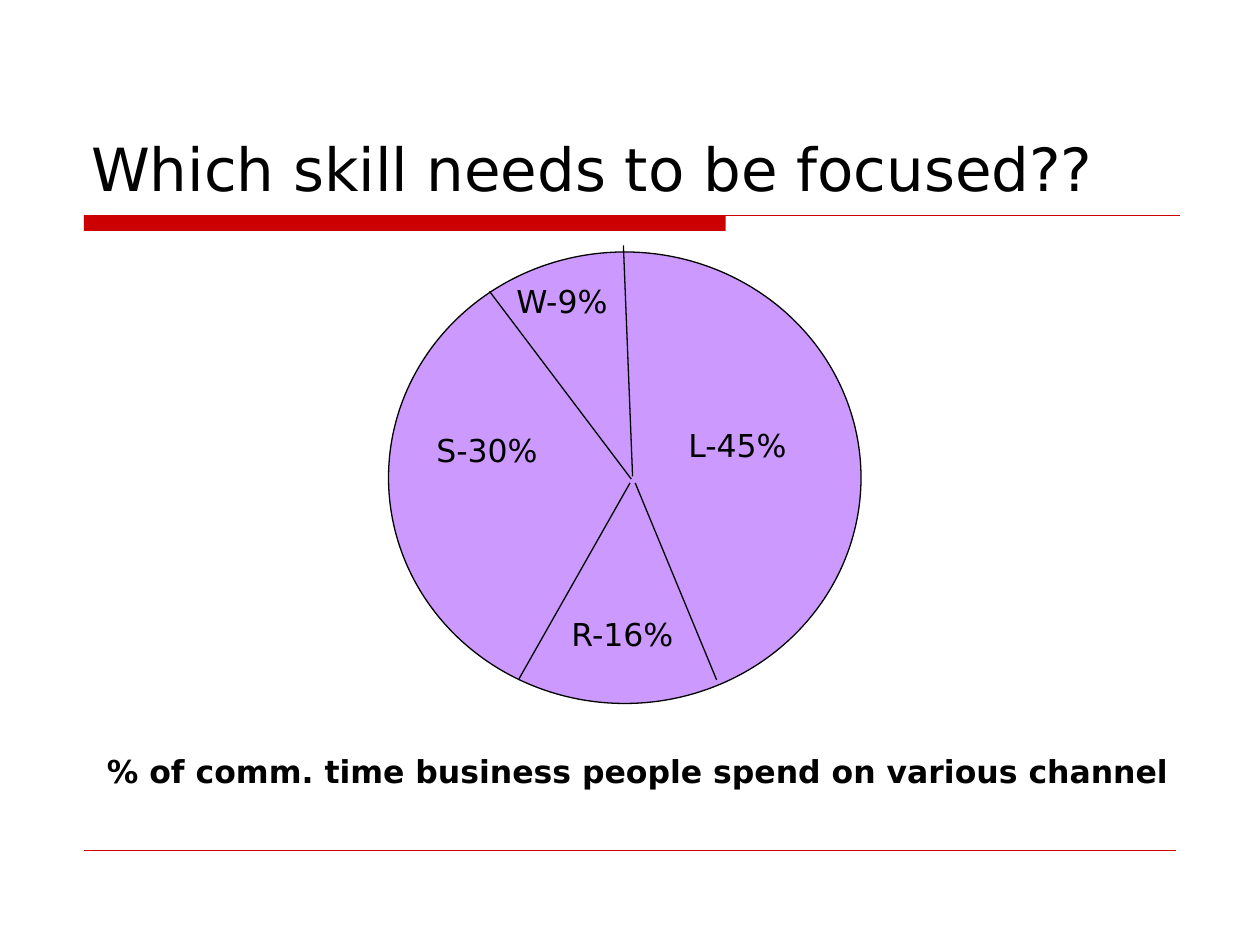
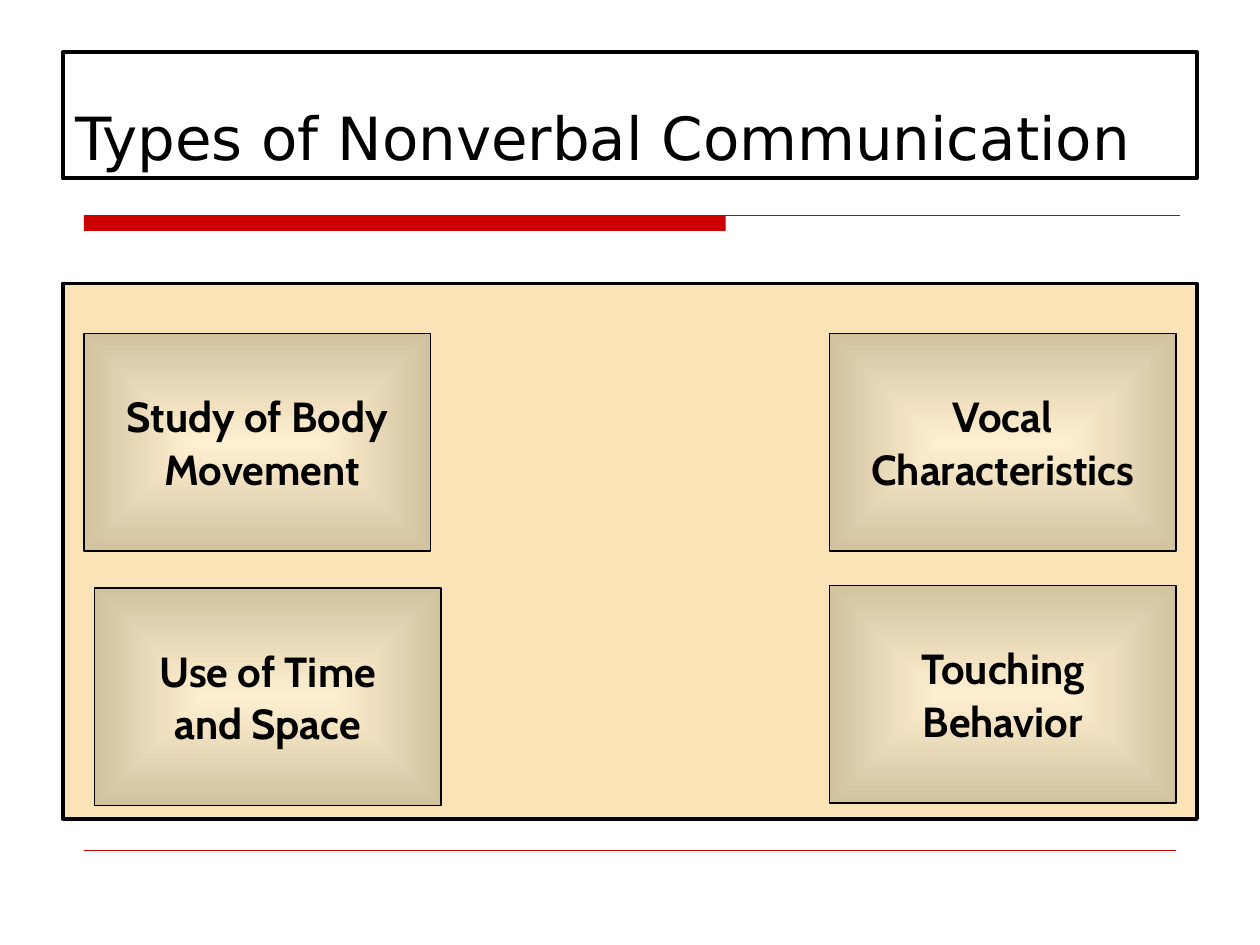
from dataclasses import dataclass

from lxml import etree
from pptx import Presentation
from pptx import util as u
from pptx.dml.color import RGBColor
from pptx.enum import shapes, text
from pptx.oxml import ns

EMU_PER_PX = 9525


@dataclass(frozen=True)
class Theme:
    ink: str = "000000"
    accent: str = "CC0000"
    pie: str = "CC99FF"
    panel: str = "FAE3B7"
    card_center: str = "FFEFD1"
    card_edge: str = "D1C39F"
    body_font: str = "DejaVu Sans"
    card_font: str = "Cabin"
    title_size: int = 34
    card_size: int = 24
    label_size: int = 18
    hairline: float = 0.25
    thin: float = 0.75
    thick: float = 2.25


THEME = Theme()


def px(*lengths):
    return [u.Emu(length * EMU_PER_PX) for length in lengths]


def color(value):
    return RGBColor.from_string(value)


def add_line(page, start, end, stroke=THEME.ink, width=THEME.thin):
    line = page.shapes.add_connector(shapes.MSO_CONNECTOR.STRAIGHT, *px(*start, *end))
    line.line.color.rgb = color(stroke)
    line.line.width = u.Pt(width)
    etree.SubElement(line._element.spPr, ns.qn("a:effectLst"))


def add_block(page, bounds, fill=None, width=THEME.thin, kind=shapes.MSO_SHAPE.RECTANGLE):
    block = page.shapes.add_shape(kind, *px(*bounds))
    block.shadow.inherit = False
    if fill:
        block.fill.solid()
        block.fill.fore_color.rgb = color(fill)
    else:
        block.fill.background()
    if width:
        block.line.color.rgb = color(THEME.ink)
        block.line.width = u.Pt(width)
    else:
        block.line.fill.background()
    return block


def write(box, lines, size, font=THEME.body_font, bold=False, align=text.PP_ALIGN.LEFT,
          anchor=text.MSO_ANCHOR.TOP, wrap=True):
    frame = box.text_frame
    frame.word_wrap = wrap
    frame.vertical_anchor = anchor
    for index, line in enumerate(lines):
        para = frame.add_paragraph() if index else frame.paragraphs[0]
        para.text = line
        para.alignment = align
        para.space_before = u.Pt(0.5 if index else 0)
        para.space_after = u.Pt(0.5)
        para.font.name = font
        para.font.size = u.Pt(size)
        para.font.bold = bold
        para.font.color.rgb = color(THEME.ink)


def add_label(page, bounds, words, bold=False):
    write(page.shapes.add_textbox(*px(*bounds)), [words], THEME.label_size, bold=bold)


def add_card(page, corner, lines):
    card = add_block(page, (*corner, 264, 166))
    card.fill.gradient()
    for stop, shade in zip(card.fill.gradient_stops, (THEME.card_center, THEME.card_edge)):
        stop.color.rgb = color(shade)
    gradient = card._element.spPr.find(ns.qn("a:gradFill"))
    gradient.remove(gradient.find(ns.qn("a:lin")))
    focus = etree.SubElement(gradient, ns.qn("a:path"), {"path": "rect"})
    etree.SubElement(focus, ns.qn("a:fillToRect"), dict.fromkeys("ltrb", "50000"))
    write(card, lines, THEME.card_size, THEME.card_font, True,
          text.PP_ALIGN.CENTER, text.MSO_ANCHOR.MIDDLE, False)


def add_page(deck, title, title_bounds, title_border=None):
    page = deck.slides.add_slide(deck.slide_layouts[6])
    add_block(page, (64, 164, 489, 12), THEME.accent, None)
    add_line(page, (64, 164), (899, 164), THEME.accent)
    add_line(page, (64, 648), (896, 648), THEME.accent, THEME.hairline)
    box = add_block(page, title_bounds, width=title_border)
    write(box, [title], THEME.title_size, anchor=text.MSO_ANCHOR.BOTTOM)
    return page


def add_skills_page(deck):
    page = add_page(deck, "Which skill needs to be focused??", (60, 32, 840, 128))
    add_block(page, (296, 192, 360, 344), THEME.pie, kind=shapes.MSO_SHAPE.OVAL)
    dividers = [
        ((482, 363), (475, 187)),
        ((395, 518), (480, 368)),
        ((546, 518), (484, 368)),
        ((481, 365), (373, 222)),
    ]
    for start, end in dividers:
        add_line(page, start, end)
    shares = [
        ("L-45%", 515, 320),
        ("R-16%", 426, 464),
        ("S-30%", 323, 324),
        ("W-9%", 384, 210),
    ]
    for words, left, top in shares:
        add_label(page, (left, top, 104, 38), words)
    add_label(page, (72, 568, 864, 38),
              "% of comm. time business people spend on various channel", bold=True)


def add_nonverbal_page(deck):
    page = add_page(deck, "Types of Nonverbal Communication", (48, 40, 864, 96), THEME.thick)
    add_block(page, (48, 216, 864, 408), THEME.panel, THEME.thick)
    cards = [
        ((632, 254), ["Vocal", "Characteristics"]),
        ((64, 254), ["Study of Body", " Movement"]),
        ((72, 448), ["Use of Time", "and Space"]),
        ((632, 446), ["Touching", "Behavior"]),
    ]
    for corner, lines in cards:
        add_card(page, corner, lines)


def main():
    deck = Presentation()
    deck.slide_width, deck.slide_height = px(960, 720)
    add_skills_page(deck)
    add_nonverbal_page(deck)
    deck.save("out.pptx")


if __name__ == "__main__":
    main()
